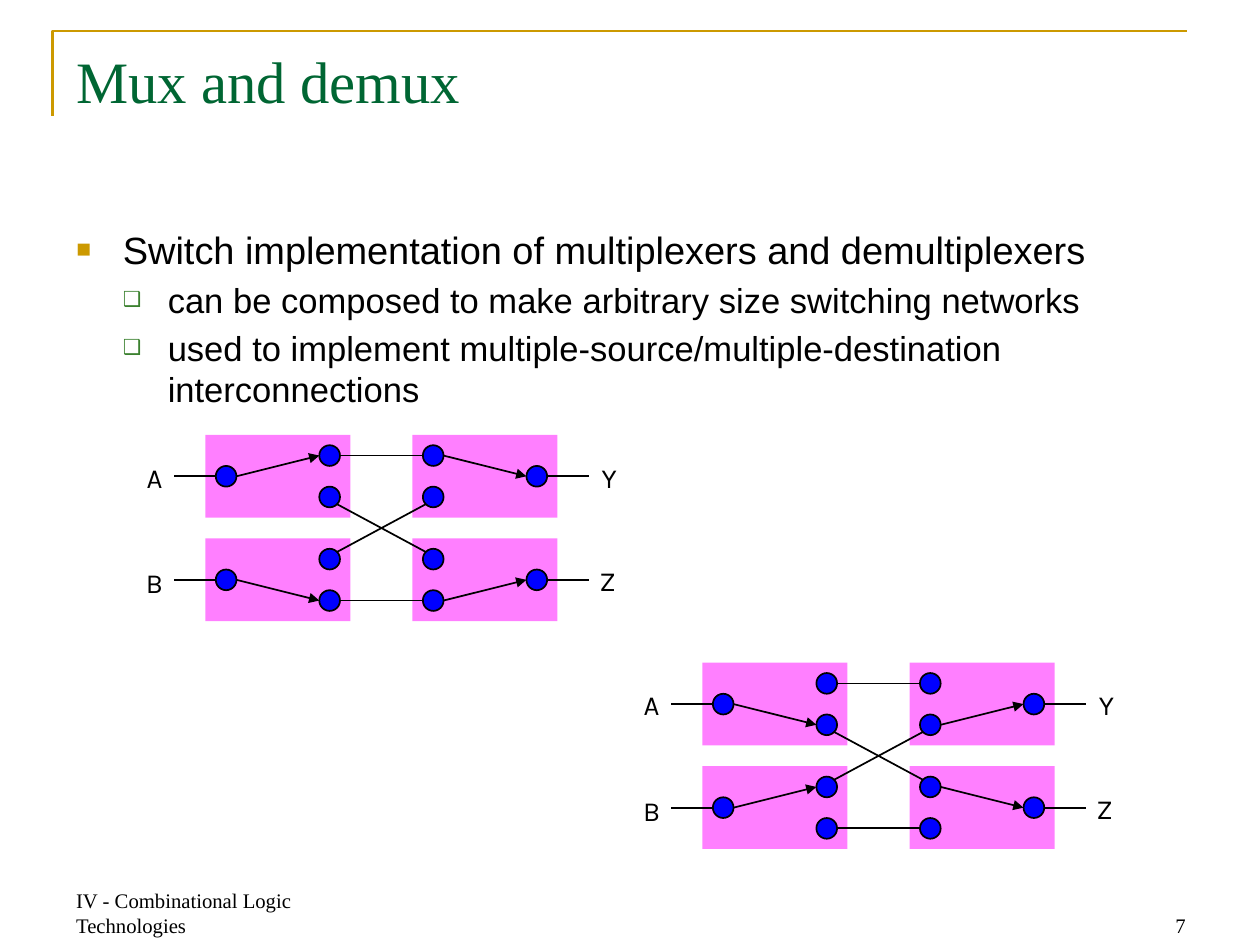
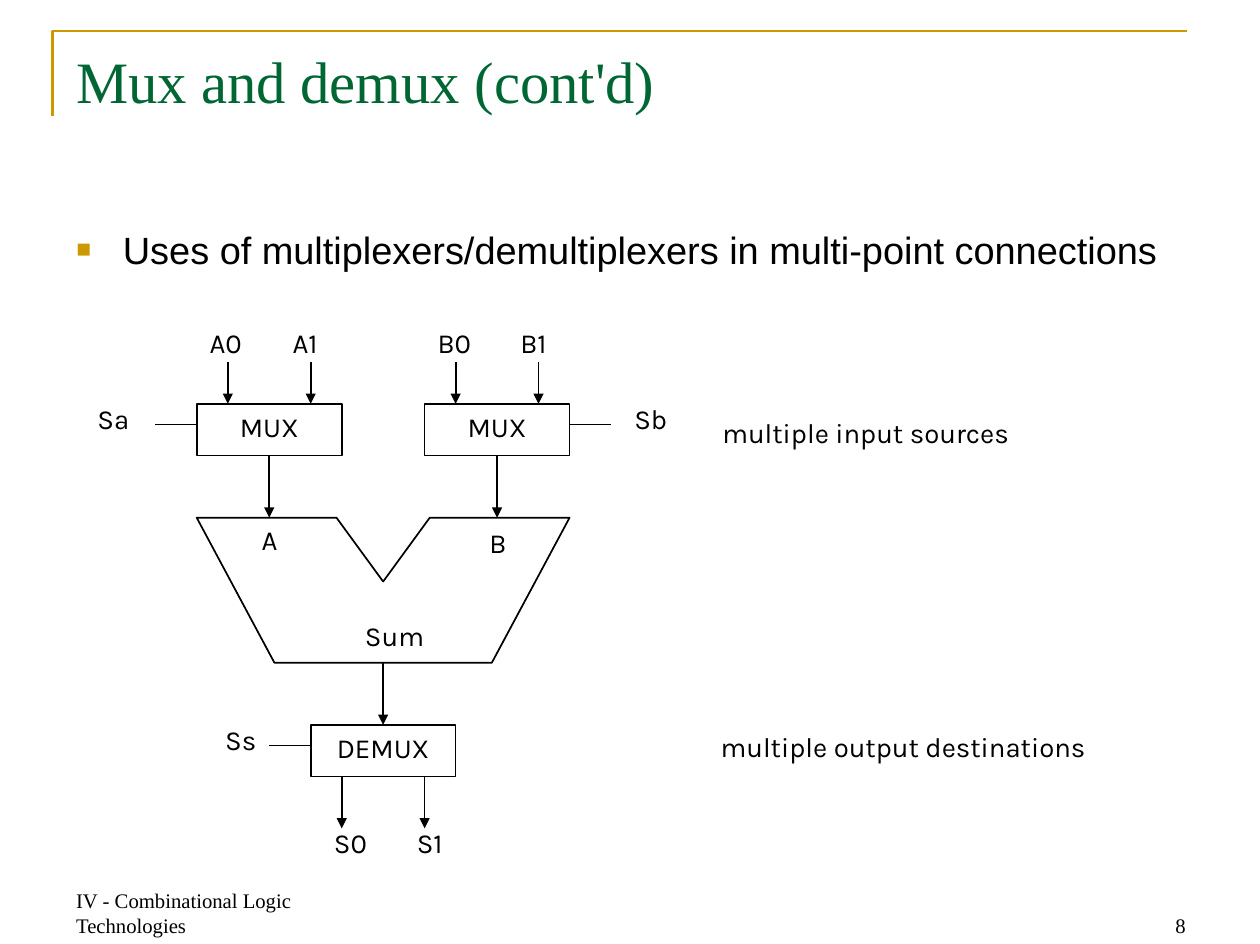
from lxml.etree import SubElement
from pptx import Presentation
from pptx.dml.color import RGBColor
from pptx.enum.shapes import MSO_CONNECTOR, MSO_SHAPE
from pptx.enum.text import MSO_ANCHOR, MSO_AUTO_SIZE, PP_ALIGN
from pptx.oxml.ns import qn
from pptx.util import Pt

COLORS = {"ink": "000000", "paper": "FFFFFF", "title": "006633", "gold": "CC9900",
          "green": "3B812F", "switch": "FF00FF", "contact": "0000FF"}
SERIF, SANS, LABEL = "Times New Roman", "Arial", "Karla"

# Per list level: size, left margin, hanging indent, bullet, bullet colour, bullet size %
LEVELS = [(22, 27, 27, "■", "gold", 65), (20, 53, 26, "❑", "green", 60)]


def rgb(name):
    return RGBColor.from_string(COLORS[name])


def add_run(paragraph, text, size, font, color="ink"):
    run = paragraph.add_run()
    run.text = text
    run.font.size, run.font.name = Pt(size), font
    run.font.color.rgb = rgb(color)


def place(shape, left, top, width, height):
    shape.left, shape.top = Pt(left), Pt(top)
    shape.width, shape.height = Pt(width), Pt(height)


def set_frame(frame, side, edge, anchor=MSO_ANCHOR.TOP, wrap=True):
    frame.margin_left = frame.margin_right = Pt(side)
    frame.margin_top = frame.margin_bottom = Pt(edge)
    frame.vertical_anchor, frame.word_wrap = anchor, wrap
    frame.auto_size = MSO_AUTO_SIZE.NONE


def add_label(slide, text, left, top, width, height=26, spacing=16, align=PP_ALIGN.LEFT):
    box = slide.shapes.add_textbox(Pt(left), Pt(top), Pt(width), Pt(height))
    set_frame(box.text_frame, 1.5, 2, wrap=False)
    paragraph = box.text_frame.paragraphs[0]
    paragraph.alignment, paragraph.line_spacing = align, Pt(spacing)
    add_run(paragraph, text, 16, LABEL)


def style_outline(shape, fill=None, line="ink", weight=1):
    shape.shadow.inherit = False
    if fill:
        shape.fill.solid()
        shape.fill.fore_color.rgb = rgb(fill)
    else:
        shape.fill.background()
    if line:
        shape.line.color.rgb, shape.line.width = rgb(line), Pt(weight)
    else:
        shape.line.fill.background()


def add_block(slide, preset, left, top, width, height, fill, line="ink"):
    block = slide.shapes.add_shape(preset, Pt(left), Pt(top), Pt(width), Pt(height))
    style_outline(block, fill, line)
    return block


def add_outline(slide, points, close, line="ink", weight=1):
    corners = [(Pt(x), Pt(y)) for x, y in points]
    builder = slide.shapes.build_freeform(*corners[0], scale=1.0)
    builder.add_line_segments(corners[1:], close=close)
    style_outline(builder.convert_to_shape(), None, line, weight)


def add_wire(slide, x1, y1, x2, y2, arrow=False):
    wire = slide.shapes.add_connector(MSO_CONNECTOR.STRAIGHT, Pt(x1), Pt(y1), Pt(x2), Pt(y2))
    wire.line.color.rgb, wire.line.width = rgb("ink"), Pt(1)
    properties = wire._element.spPr
    if arrow:
        SubElement(properties.find(qn("a:ln")), qn("a:tailEnd"), type="triangle")
    SubElement(properties, qn("a:effectLst"))


def add_bullet(paragraph, level):
    size, margin, hang, char, color, percent = LEVELS[level]
    paragraph.level = level
    properties = paragraph._p.get_or_add_pPr()
    properties.set("marL", str(Pt(margin)))
    properties.set("indent", str(-Pt(hang)))
    SubElement(SubElement(properties, qn("a:buClr")), qn("a:srgbClr"), val=COLORS[color])
    SubElement(properties, qn("a:buSzPct"), val=str(percent * 1000))
    SubElement(properties, qn("a:buFont"), typeface=SANS)
    SubElement(properties, qn("a:buChar"), char=char)
    return size


def add_page(prs, title, points, number):
    """Common slide frame: corner rule, title, list and footer."""
    slide = prs.slides.add_slide(prs.slide_layouts[1])
    add_outline(slide, [(30.5, 67), (30.5, 18), (687.5, 18)], False, "gold", 1.5)

    # Title
    heading = slide.shapes.title
    place(heading, 37, 22.5, 657, 90.5)
    set_frame(heading.text_frame, 7.2, 3.6)
    paragraph = heading.text_frame.paragraphs[0]
    paragraph.alignment = PP_ALIGN.LEFT
    add_run(paragraph, title, 34, SERIF, "title")

    # List
    body = slide.placeholders[1]
    place(body, 37, 127.5, 657, 361.5)
    set_frame(body.text_frame, 7.2, 3.6)
    for index, (level, text) in enumerate(points):
        paragraph = body.text_frame.add_paragraph() if index else body.text_frame.paragraphs[0]
        size = add_bullet(paragraph, level)
        paragraph.space_before = Pt(0.2 * size if index else 0)
        add_run(paragraph, text, size, SANS)

    # Footer
    for text, left, align in [("IV - Combinational Logic Technologies", 37, PP_ALIGN.LEFT),
                              (str(number), 523.5, PP_ALIGN.RIGHT)]:
        footer = slide.shapes.add_textbox(Pt(left), Pt(510.5), Pt(170.5), Pt(36.5))
        set_frame(footer.text_frame, 7.2, 3.6, MSO_ANCHOR.BOTTOM)
        paragraph = footer.text_frame.paragraphs[0]
        paragraph.alignment = align
        add_run(paragraph, text, 12, SERIF)
    return slide


def add_switch(slide, left, top, mirrored, leg):
    """One 84 x 48 switch whose arm connects the common contact to the chosen leg."""
    def across(x):
        return left + (84 - x if mirrored else x)

    pink = add_block(slide, MSO_SHAPE.RECTANGLE, left, top, 84, 48, "switch", None)
    color = pink._element.spPr.find(qn("a:solidFill"))[0]
    SubElement(color, qn("a:alpha"), val="50000")
    for x, y in [(12, 24), (72, 12), (72, 36)]:
        add_block(slide, MSO_SHAPE.OVAL, across(x) - 6, top + y - 6, 12, 12, "contact")
    arm = [(across(18), top + 24), (across(66), top + leg)]
    start, end = reversed(arm) if mirrored else arm
    add_wire(slide, *start, *end, arrow=True)
    add_wire(slide, across(-18), top + 24, across(6), top + 24)


def add_network(slide, left, top, legs):
    """Two demultiplexers feeding two multiplexers; legs holds the choice per row."""
    for row, leg in enumerate(legs):
        for column in range(2):
            add_switch(slide, left + 120 * column, top + 60 * row, column == 1, leg)
    # Wires between the switches
    for y1, y2 in [(12, 12), (96, 96)]:
        add_wire(slide, left + 78, top + y1, left + 126, top + y2)
    for y1, y2 in [(40, 68), (68, 40)]:
        add_wire(slide, left + 76, top + y1, left + 128, top + y2)
    # Terminals
    for name, x, y, width in [("A", -41, 11, 23), ("B", -41, 72, 23),
                              ("Y", 222.5, 11, 23), ("Z", 222.5, 71, 21)]:
        add_label(slide, name, left + x, top + y, width, 31, 21, PP_ALIGN.CENTER)


def add_gate(slide, text, left, top, select_side):
    """Boxed 84 x 30 selector with its select wire on the left (-1) or right (1)."""
    gate = add_block(slide, MSO_SHAPE.RECTANGLE, left, top, 84, 30, "paper")
    set_frame(gate.text_frame, 1.5, 2, MSO_ANCHOR.MIDDLE, wrap=False)
    paragraph = gate.text_frame.paragraphs[0]
    paragraph.alignment, paragraph.line_spacing = PP_ALIGN.CENTER, Pt(16)
    add_run(paragraph, text, 16, LABEL)
    edge = left + (84 if select_side > 0 else 0)
    add_wire(slide, edge, top + 12, edge + 24 * select_side, top + 12)


def add_mux(slide, left, top, inputs, select_side):
    add_gate(slide, "MUX", left, top + 44, select_side)
    for index, name in enumerate(inputs):
        x = left + 48 * index
        add_label(slide, name, x + 6, top, 24)
        add_wire(slide, x + 18, top + 20, x + 18, top + 44, arrow=True)
    add_wire(slide, left + 42, top + 74, left + 42, top + 110, arrow=True)


def add_demux(slide, left, top, outputs):
    add_gate(slide, "DEMUX", left, top, -1)
    for index, name in enumerate(outputs):
        x = left + 48 * index
        add_wire(slide, x + 18, top + 30, x + 18, top + 60, arrow=True)
        add_label(slide, name, x + 12, top + 60, 24)


def add_datapath(slide, left, top):
    """Multiplexed operands, adder and demultiplexed sum."""
    add_mux(slide, left, top, ["A0", "A1"], -1)
    add_mux(slide, left + 132, top, ["B0", "B1"], 1)
    # Adder
    adder = [(0, 110), (81, 110), (108, 147), (135, 110), (216, 110), (171, 194), (45, 194)]
    add_outline(slide, [(left + x, top + y) for x, y in adder], True)
    add_wire(slide, left + 108, top + 194, left + 108, top + 230, arrow=True)
    add_demux(slide, left + 66, top + 230, ["S0", "S1"])
    # Operand and select names
    for name, x, y, width in [("A", 36, 114, 21), ("B", 168, 116, 21), ("Sum", 96, 170, 53),
                              ("Sa", -59, 44, 28), ("Sb", 252, 44, 30)]:
        add_label(slide, name, left + x, top + y, width)
    add_label(slide, "Ss", left + 4, top + 230, 32, align=PP_ALIGN.RIGHT)


def main():
    prs = Presentation()
    prs.slide_width, prs.slide_height = Pt(730), Pt(547)

    # Switch networks
    slide = add_page(prs, "Mux and demux", [
        (0, "Switch implementation of multiplexers and demultiplexers"),
        (1, "can be composed to make arbitrary size switching networks"),
        (1, "used to implement multiple-source/multiple-destination interconnections"),
    ], 7)
    add_network(slide, 119, 252, (12, 36))
    add_network(slide, 407, 384, (36, 12))

    # Multi-point connections
    slide = add_page(prs, "Mux and demux (cont'd)", [
        (0, "Uses of multiplexers/demultiplexers in multi-point connections"),
    ], 8)
    add_datapath(slide, 114, 190)
    add_label(slide, "multiple input sources", 417, 237, 205, 31, 21)
    add_label(slide, "multiple output destinations", 416, 419, 254, 31, 21)

    prs.save("out.pptx")


if __name__ == "__main__":
    main()
